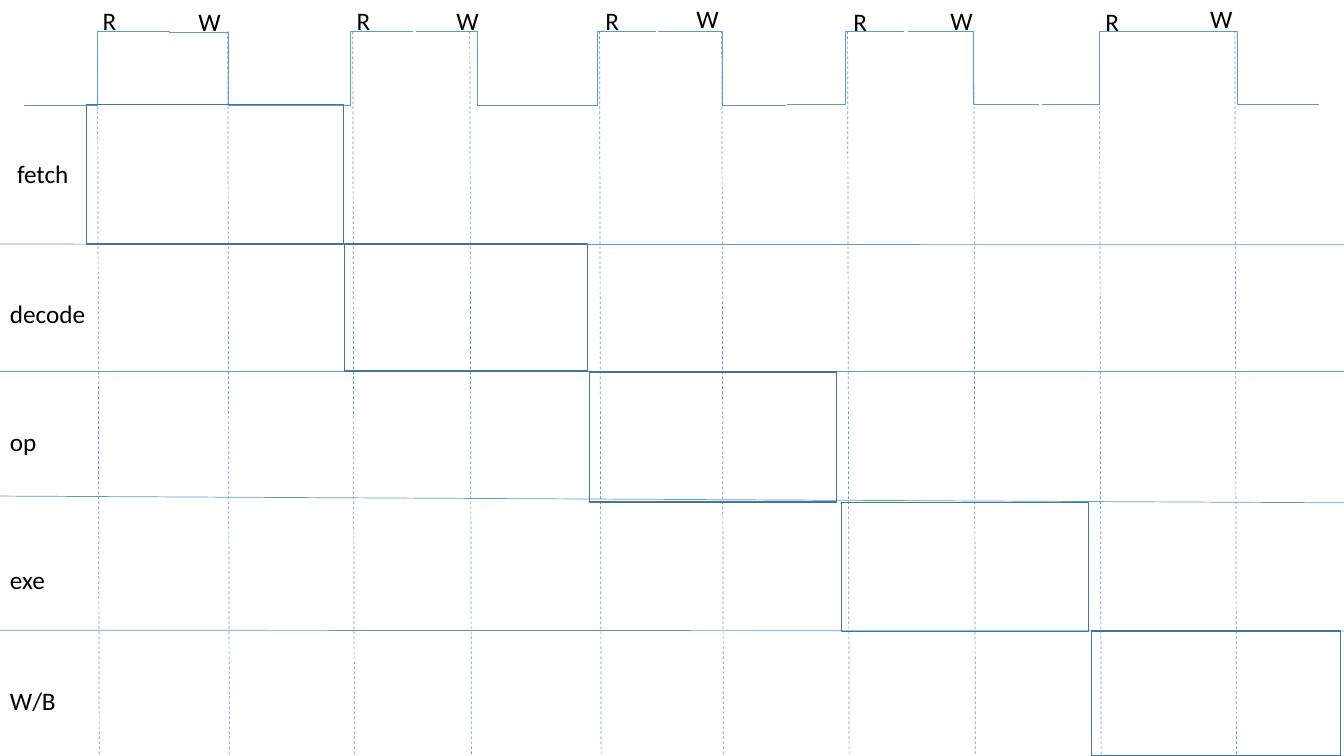
"""Draw a five-stage pipeline timing diagram with its clock."""
from dataclasses import dataclass

from lxml.etree import SubElement
from pptx import Presentation
from pptx.dml.color import RGBColor
from pptx.enum.dml import MSO_LINE as Dash
from pptx.enum.shapes import MSO_CONNECTOR as Conn, MSO_SHAPE as Shape
from pptx.enum.text import MSO_AUTO_SIZE as Fit, PP_ALIGN as Align
from pptx.oxml.ns import qn
from pptx.slide import Slide
from pptx.util import Cm, Pt


@dataclass(frozen=True)
class Theme:
    font: str = "Calibri"
    size: float = 18
    text: RGBColor = RGBColor(0, 0, 0)
    signal: RGBColor = RGBColor(0x5B, 0x9B, 0xD5)
    outline: RGBColor = RGBColor(0x43, 0x73, 0x9E)
    thin: float = 0.5
    thick: float = 1


@dataclass(frozen=True)
class Stage:
    name: str
    label: tuple[float, float, float]
    box: tuple[float, float, float, float]


@dataclass(frozen=True)
class Pulse:
    rise: tuple[float, float]
    fall: tuple[float, float]
    high: float
    low: float
    r_label: tuple[float, float]
    w_label: tuple[float, float]


@dataclass(frozen=True)
class Divider:
    left: float
    right: float
    kind: Conn = Conn.STRAIGHT


THEME = Theme()
WIDTH, HEIGHT = 33.87, 19.05
CLOCK_TOP, CLOCK_LOW = 0.79, 2.65
LABEL_HEIGHT, R_WIDTH, W_WIDTH = 1.03, 1.4, 1.5
STROBE_DRIFT = 0.04

STAGES = [
    Stage("fetch", (0.18, 3.86, 2.01), (2.18, 2.64, 6.48, 3.51)),
    Stage("decode", (0, 7.39, 2.44), (8.69, 6.15, 6.12, 3.2)),
    Stage("op", (0, 10.62, 2.41), (14.86, 9.37, 6.22, 3.28)),
    Stage("exe", (0, 14.1, 2.44), (21.21, 12.67, 6.22, 3.25)),
    Stage("W/B", (0, 17.15, 2.51), (27.51, 15.9, 6.27, 3.15)),
]
PULSES = [
    Pulse((0.61, 4.29), (4.27, 7.24), 0.82, CLOCK_LOW, (2.06, 0), (4.75, 0.03)),
    Pulse((7.24, 10.41), (10.49, 13.59), CLOCK_TOP, CLOCK_LOW, (8.46, 0), (11.25, 0)),
    Pulse((13.59, 16.54), (16.59, 19.81), CLOCK_TOP, CLOCK_LOW, (14.73, 0), (17.3, -0.05)),
    Pulse((19.84, 22.78), (22.89, 26.19), CLOCK_TOP, 2.62, (20.98, 0.03), (23.7, 0)),
    Pulse((26.26, 29.13), (29.13, 33.25), CLOCK_TOP, 2.62, (27.33, 0.03), (30.25, -0.05)),
]
DIVIDERS = [
    Divider(6.15, 6.17),
    Divider(9.35, 9.37, Conn.ELBOW),
    Divider(12.5, 12.67),
    Divider(15.88, 15.9),
]
STROBES = [2.46, 5.74, 8.89, 11.84, 15.11, 18.19, 21.36, 24.54, 27.71, 31.12]


def add_line(s: Slide, x1: float, y1: float, x2: float, y2: float,
             kind: Conn = Conn.STRAIGHT, dash: Dash | None = None) -> None:
    line = s.shapes.add_connector(kind, Cm(x1), Cm(y1), Cm(x2), Cm(y2))
    line.line.color.rgb = THEME.signal
    line.line.width = Pt(THEME.thin)
    if dash is not None:
        line.line.dash_style = dash
    SubElement(line._element.spPr, qn("a:effectLst"))


def add_label(s: Slide, text: str, x: float, y: float, width: float,
              align: Align = Align.LEFT) -> None:
    tf = s.shapes.add_textbox(Cm(x), Cm(y), Cm(width), Cm(LABEL_HEIGHT)).text_frame
    tf.word_wrap = True
    tf.auto_size = Fit.SHAPE_TO_FIT_TEXT
    p = tf.paragraphs[0]
    p.alignment = align
    r = p.add_run()
    r.text = text
    r.font.name = THEME.font
    r.font.size = Pt(THEME.size)
    r.font.color.rgb = THEME.text


def add_box(s: Slide, stage: Stage) -> None:
    sp = s.shapes.add_shape(Shape.RECTANGLE, *map(Cm, stage.box))
    sp.shadow.inherit = False
    sp.fill.background()
    sp.line.color.rgb = THEME.outline
    sp.line.width = Pt(THEME.thick)


def add_pulse(s: Slide, pulse: Pulse) -> None:
    (low_start, rise_end), (fall_start, low_end) = pulse.rise, pulse.fall
    add_line(s, low_start, pulse.low, rise_end, CLOCK_TOP, Conn.ELBOW)
    add_line(s, fall_start, pulse.high, low_end, pulse.low, Conn.ELBOW)
    add_label(s, "R", *pulse.r_label, R_WIDTH, Align.CENTER)
    add_label(s, "W", *pulse.w_label, W_WIDTH)


def main() -> None:
    prs = Presentation()
    prs.slide_width, prs.slide_height = Cm(WIDTH), Cm(HEIGHT)
    s = prs.slides.add_slide(prs.slide_layouts[6])
    for row in DIVIDERS:
        add_line(s, 0, row.left, WIDTH, row.right, row.kind)
    for stage in STAGES:
        add_label(s, stage.name, *stage.label)
    for x in STROBES:
        add_line(s, x, CLOCK_TOP, x + STROBE_DRIFT, HEIGHT, dash=Dash.DASH)
    for pulse in PULSES:
        add_pulse(s, pulse)
    for stage in STAGES:
        add_box(s, stage)
    prs.save("out.pptx")


main()
